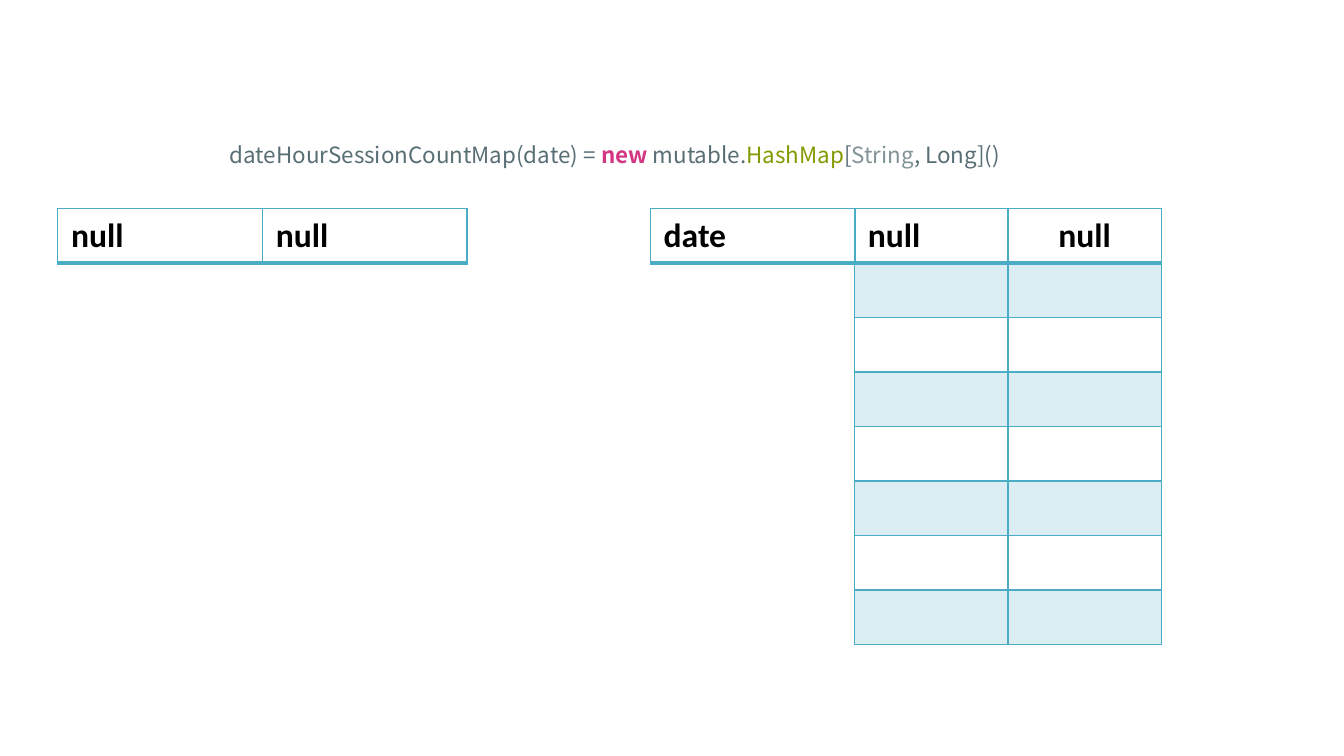
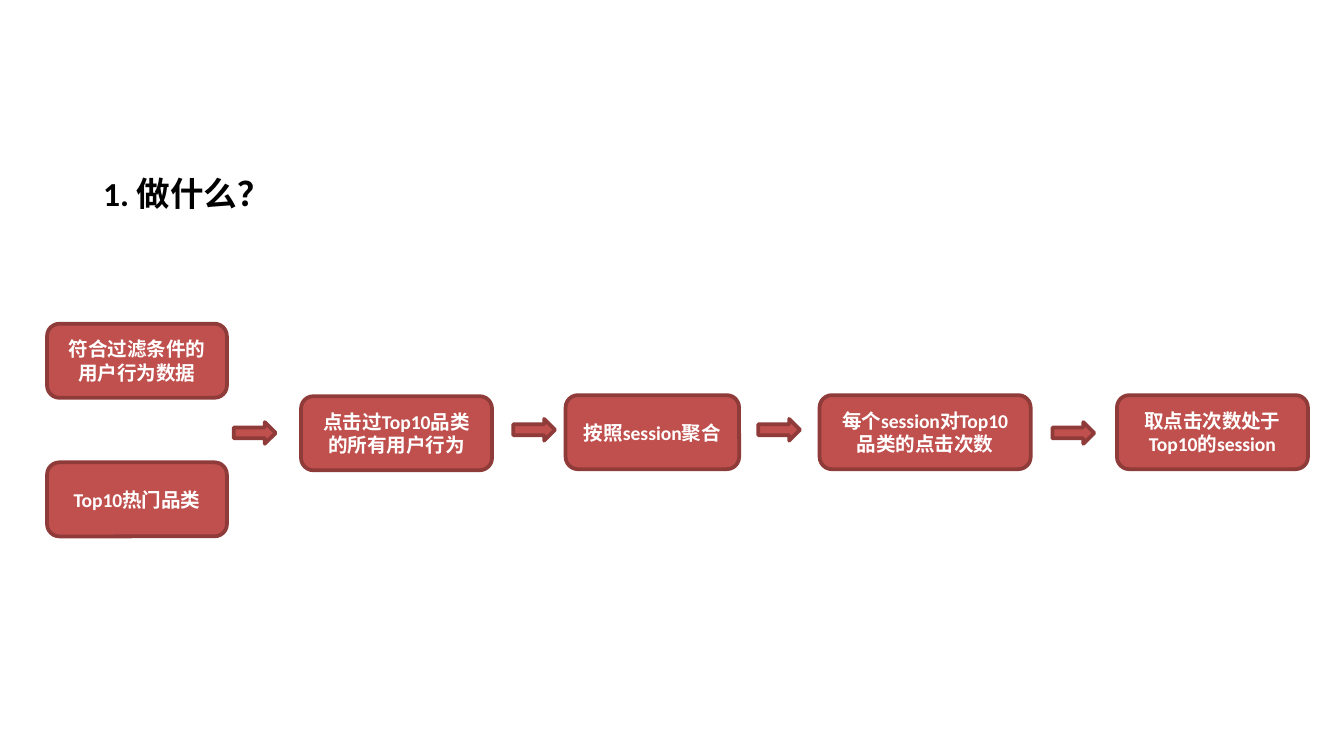
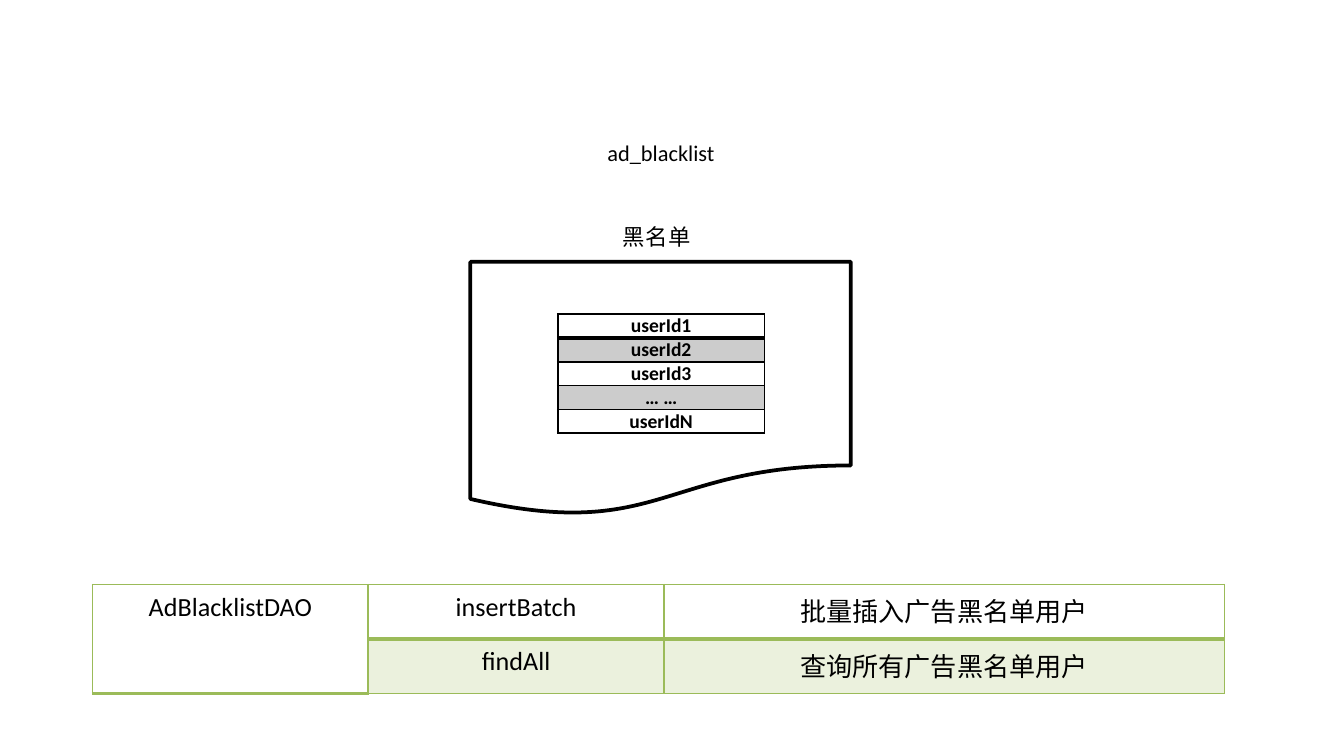
"""Build three slides on session counts, top sessions and the ad blacklist."""
from lxml.etree import SubElement
from pptx import Presentation
from pptx.dml.color import RGBColor
from pptx.enum.shapes import MSO_SHAPE as Preset
from pptx.enum.text import MSO_ANCHOR as Anchor, PP_ALIGN as Align
from pptx.oxml import parse_xml
from pptx.oxml.ns import nsdecls, qn
from pptx.util import Cm, Pt

COLORS = {
    "ink": "000000", "paper": "FFFFFF", "map": "4BACC6", "dao": "9BBB59",
    "step": "C0504D", "step_edge": "8E3B39", "code": "586E75",
    "keyword": "D33682", "class": "859900", "type": "839496",
}
LATIN, CJK, SERIF = "Calibri", "Noto Sans CJK SC", "Times New Roman"
LEFT, CENTER = Align.LEFT, Align.CENTER

CODE = [
    ("dateHourSessionCountMap(date) = ", "code"), ("new ", "keyword"),
    ("mutable.", "code"), ("HashMap", "class"), ("[", "code"),
    ("String", "type"), (", Long]()", "code"),
]
HOUR_COUNTS = [["null", "null"]] + [["", ""]] * 7
MAP_TOP, KEY_WIDTH, MAP_ROW = 3.94, 3.87, 1.03
KEYS = [("date", 12.29), ("null", 1.09), ("null", 1.09 + KEY_WIDTH)]

QUESTION = "1. 做什么？"
STEP_HEIGHT = 1.4
STEPS = [
    ("符合过滤条件的用户行为数据", 0.89, 6.12, 3.4),
    ("Top10热门品类", 0.89, 8.74, 3.4),
    ("点击过Top10品类的所有用户行为", 5.69, 7.49, 3.61),
    ("按照session聚合", 10.69, 7.47, 3.28),
    ("每个session对Top10品类的点击次数", 15.49, 7.47, 3.99),
    ("取点击次数处于Top10的session", 21.11, 7.47, 3.61),
]
ARROWS = [(4.42, 7.98), (9.7, 7.92), (14.33, 7.92), (19.89, 7.98)]

BLACKLIST = [["userId1"], ["userId2"], ["userId3"], ["… …"], ["userIdN"]]
DAO_METHODS = [
    ["AdBlacklistDAO", "insertBatch", "批量插入广告黑名单用户"],
    ["", "findAll", "查询所有广告黑名单用户"],
]


def rgb(name):
    return RGBColor.from_string(COLORS[name])


def style(run, size, color="ink", bold=False, font=LATIN):
    run.font.size, run.font.bold, run.font.name = Pt(size), bold, font
    run.font.color.rgb = rgb(color)
    SubElement(run.font._element, qn("a:ea"), typeface=CJK)


def add_label(slide, text, box, size, bold=False, font=LATIN, wrap=True):
    frame = slide.shapes.add_textbox(*map(Cm, box)).text_frame
    frame.word_wrap = wrap
    frame.text = text
    paragraph = frame.paragraphs[0]
    for run in paragraph.runs:
        style(run, size, bold=bold, font=font)
    return paragraph


def add_block(slide, preset, box, fill, edge):
    block = slide.shapes.add_shape(preset, *map(Cm, box))
    block.shadow.inherit = False
    block.fill.solid()
    block.fill.fore_color.rgb = rgb(fill)
    block.line.color.rgb = rgb(edge)
    block.line.width = Pt(2)
    return block


def paint_cell(cell, color, shaded, heavy_bottom):
    if shaded:
        cell.fill.solid()
        cell.fill.fore_color.rgb = rgb(color)
        tint = cell._tc.tcPr.find(".//" + qn("a:srgbClr"))
        SubElement(tint, qn("a:alpha"), val="20000")
    else:
        cell.fill.background()
    for place, side in enumerate("LRTB"):
        width = Pt(2 if side == "B" and heavy_bottom else 1)
        border = parse_xml(
            f'<a:ln{side} {nsdecls("a")} w="{width}"><a:solidFill>'
            f'<a:srgbClr val="{COLORS[color]}"/></a:solidFill></a:ln{side}>')
        cell._tc.tcPr.insert(place, border)


def add_grid(slide, rows, corner, widths, row_height, color, size,
             aligns, bold=True, margins=None, merge_first=False):
    box = (*corner, sum(widths), row_height * len(rows))
    table = slide.shapes.add_table(
        len(rows), len(widths), *map(Cm, box)).table
    table.first_row = table.horz_banding = False
    for column, width in zip(table.columns, widths):
        column.width = Cm(width)
    for row in table.rows:
        row.height = Cm(row_height)
    if merge_first:
        table.cell(0, 0).merge(table.cell(len(rows) - 1, 0))
    for r, texts in enumerate(rows):
        for c, text in enumerate(texts):
            cell = table.cell(r, c)
            if margins:
                cell.margin_left = cell.margin_right = Cm(margins[0])
                cell.margin_top = cell.margin_bottom = Cm(margins[1])
            if text:
                cell.text_frame.text = text
                paragraph = cell.text_frame.paragraphs[0]
                paragraph.alignment = aligns[c]
                style(paragraph.runs[0], size, bold=bold)
            paint_cell(cell, color, r % 2 == 1 and not cell.is_spanned,
                       r == 0 or cell.is_spanned)


def build_count_map(slide):
    add_grid(slide, HOUR_COUNTS, (16.15, MAP_TOP), [2.9, 2.9], MAP_ROW,
             "map", 18, [LEFT, CENTER])
    for key, left in KEYS:
        add_grid(slide, [[key]], (left, MAP_TOP), [KEY_WIDTH], MAP_ROW,
                 "map", 18, [LEFT])
    statement = add_label(slide, "", (4.09, 2.54, 18.26, 0.76), 12)
    for text, color in CODE:
        run = statement.add_run()
        run.text = text
        style(run, 12, color, color == "keyword", CJK)


def build_top_sessions(slide):
    add_label(slide, QUESTION, (1.7, 3.15, 3.61, 1.02), 18, bold=True)
    for text, left, top, width in STEPS:
        step = add_block(slide, Preset.ROUNDED_RECTANGLE,
                         (left, top, width, STEP_HEIGHT), "step", "step_edge")
        frame = step.text_frame
        frame.word_wrap = True
        frame.vertical_anchor = Anchor.MIDDLE
        frame.text = text
        frame.paragraphs[0].alignment = CENTER
        style(frame.paragraphs[0].runs[0], 10.5, "paper", True)
    for left, top in ARROWS:
        add_block(slide, Preset.RIGHT_ARROW, (left, top, 0.79, 0.41),
                  "step", "step_edge")


def build_blacklist(slide):
    caption = add_label(slide, "黑名单", (11.51, 3.89, 2.01, 0.97), 12,
                        font=SERIF)
    caption.alignment = Align.JUSTIFY
    caption.line_spacing, caption.space_after = Pt(20), Pt(1)
    caption.runs[0].font._element.set("spc", "50")
    add_block(slide, Preset.FLOWCHART_DOCUMENT, (8.89, 4.95, 7.19, 4.8),
              "paper", "ink")
    add_grid(slide, BLACKLIST, (10.54, 5.94), [3.91], 0.45, "ink", 10.5,
             [CENTER], margins=(0.18, 0))
    add_label(slide, "ad_blacklist", (11.23, 2.51, 2.57, 0.76), 12,
              wrap=False)
    add_grid(slide, DAO_METHODS, (1.75, 11.05), [5.21, 5.59, 10.59], 1.03,
             "dao", 14, [CENTER] * 3, bold=False, merge_first=True)


def main():
    deck = Presentation()
    deck.slide_width, deck.slide_height = Cm(25.4), Cm(14.29)
    for build in (build_count_map, build_top_sessions, build_blacklist):
        build(deck.slides.add_slide(deck.slide_layouts[6]))
    deck.save("out.pptx")


if __name__ == "__main__":
    main()
